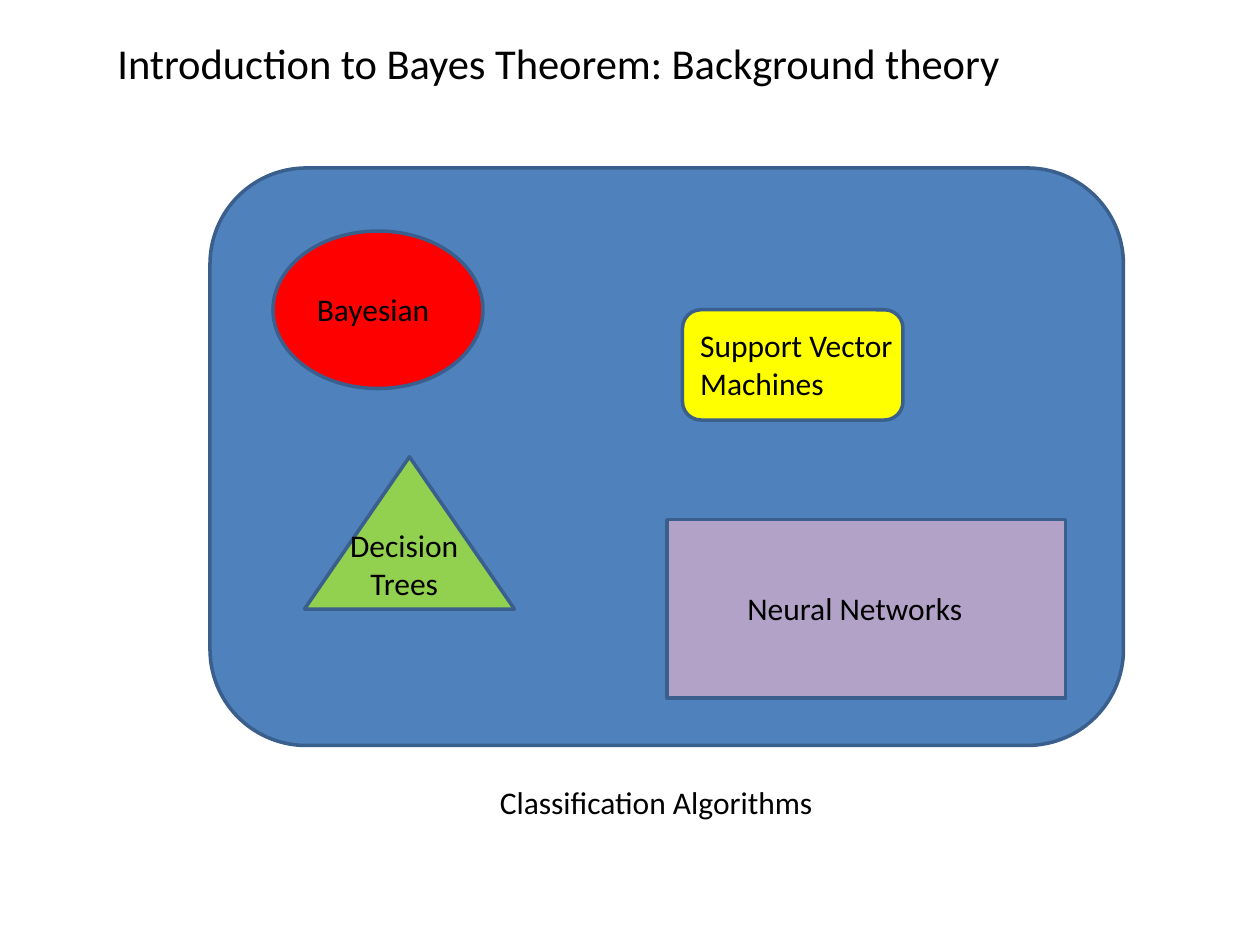
from pptx import Presentation
from pptx.dml.color import RGBColor
from pptx.enum.shapes import MSO_SHAPE
from pptx.enum.text import MSO_ANCHOR, PP_ALIGN
from pptx.util import Inches, Pt

PANEL = MSO_SHAPE.FLOWCHART_ALTERNATE_PROCESS
ELLIPSE = MSO_SHAPE.OVAL
ROUNDED = MSO_SHAPE.ROUNDED_RECTANGLE
TRIANGLE = MSO_SHAPE.ISOSCELES_TRIANGLE
RECTANGLE = MSO_SHAPE.RECTANGLE
LEFT, CENTER = PP_ALIGN.LEFT, PP_ALIGN.CENTER
TOP = MSO_ANCHOR.TOP

UNITS_PER_INCH = 24
SLIDE_COLUMNS, SLIDE_ROWS = 240, 180

ALGORITHMS = [
    (ELLIPSE, "FF0000", (12, 12, 40, 30), "Bayesian", (18, 22, 28, 10), LEFT),
    (ROUNDED, "FFFF00", (90, 27, 42, 21), "Support Vector Machines", (91, 29, 52, 17), LEFT),
    (TRIANGLE, "92D050", (18, 55, 40, 29), "Decision Trees", (18, 67, 38, 17), CENTER),
    (RECTANGLE, "B3A2C7", (87, 67, 76, 34), "Neural Networks", (100, 79, 64, 10), LEFT),
]


def color(value):
    return RGBColor.from_string(value)


def grid(box):
    return [Inches(units / UNITS_PER_INCH) for units in box]


def inside(outer, box):
    left, top, width, height = box
    return outer[0] + left, outer[1] + top, width, height


def add_outlined_shape(slide, kind, box, fill):
    shape = slide.shapes.add_shape(kind, *grid(box))
    shape.shadow.inherit = False
    shape.fill.solid()
    shape.fill.fore_color.rgb = color(fill)
    shape.line.color.rgb = color("3A5F8C")
    shape.line.width = Pt(2)


def add_label(slide, text, box, alignment=LEFT, size=18, **frame_format):
    frame = slide.shapes.add_textbox(*grid(box)).text_frame
    frame_values = {"word_wrap": True, "vertical_anchor": TOP, **frame_format}
    for name, value in frame_values.items():
        setattr(frame, name, value)
    paragraph = frame.paragraphs[0]
    paragraph.alignment = alignment
    run = paragraph.add_run()
    run.text = text
    for name, value in {"name": "Calibri", "size": Pt(size)}.items():
        setattr(run.font, name, value)
    run.font.color.rgb = color("000000")


def add_title(slide, box):
    add_label(slide, "Introduction to Bayes Theorem: Background theory", box,
              size=24.3, margin_top=0)


def add_algorithm_panel(slide, box):
    add_outlined_shape(slide, PANEL, box, "4F81BD")
    for kind, fill, shape_box, text, label_box, alignment in ALGORITHMS:
        add_outlined_shape(slide, kind, inside(box, shape_box), fill)
        add_label(slide, text, inside(box, label_box), alignment)


def add_caption(slide, box):
    add_label(slide, "Classification Algorithms", box, CENTER)


def main():
    presentation = Presentation()
    presentation.slide_width, presentation.slide_height = grid((SLIDE_COLUMNS, SLIDE_ROWS))
    slide = presentation.slides.add_slide(presentation.slide_layouts[6])
    add_title(slide, (20, 7, 212, 15))
    add_algorithm_panel(slide, (40, 32, 174, 110))
    add_caption(slide, (34, 148, 182, 10))
    presentation.save("out.pptx")


if __name__ == "__main__":
    main()
